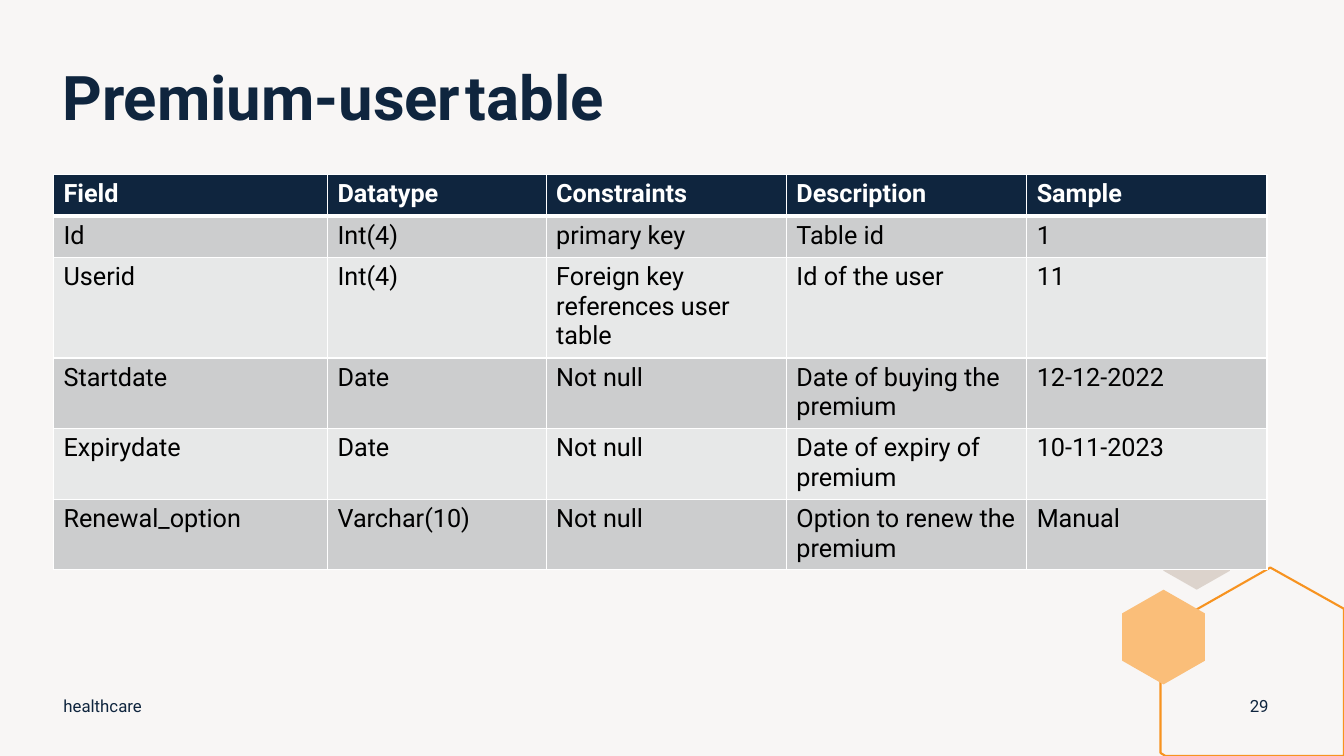
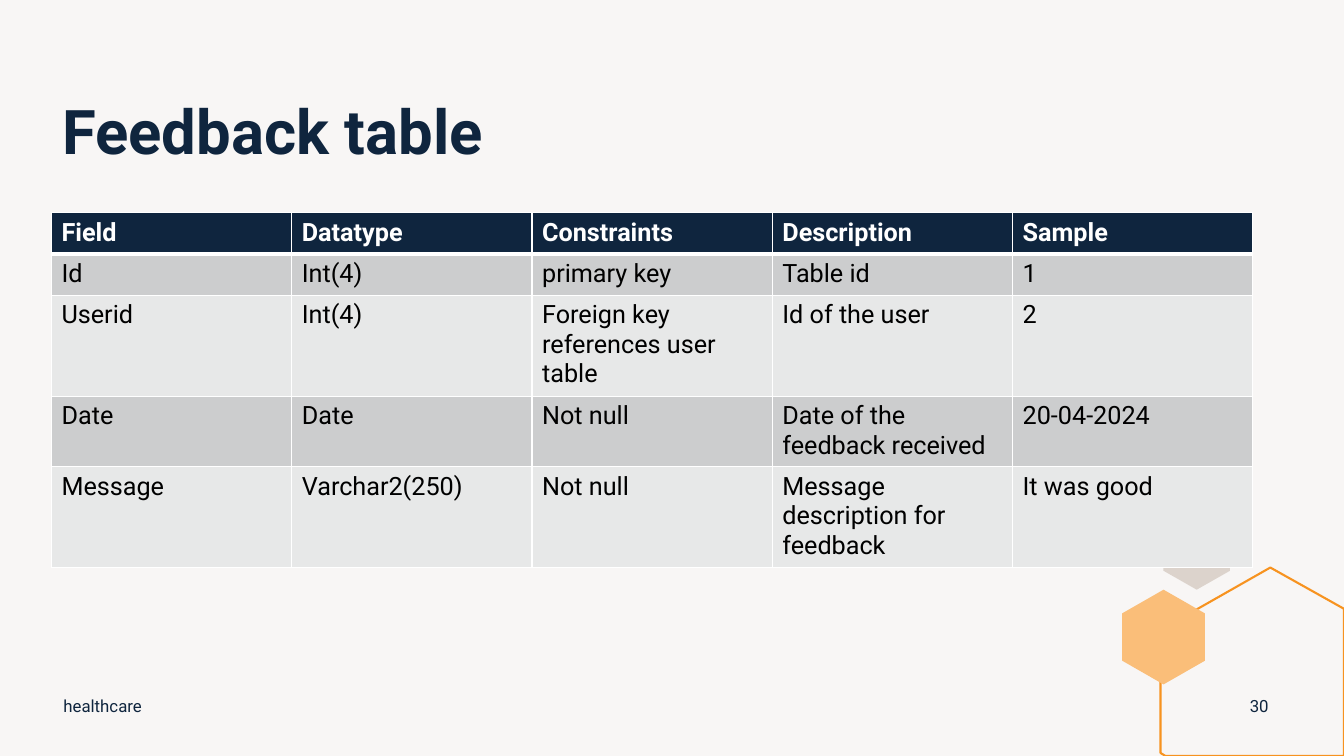
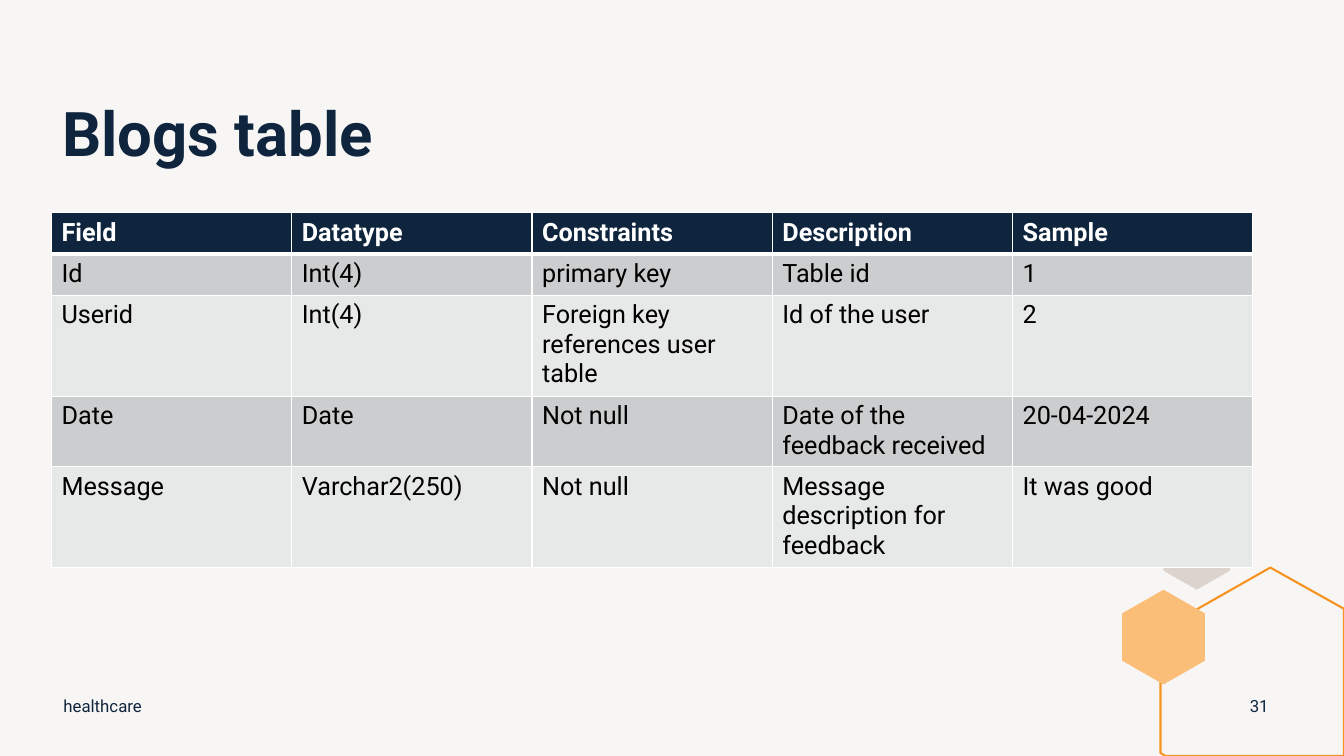
import dataclasses

import pptx
import pptx.dml.color
import pptx.enum.text
import pptx.oxml
import pptx.oxml.ns
import pptx.util

HEADINGS = ("Field", "Datatype", "Constraints", "Description", "Sample")
OPENING = [("Id", "Int(4)", "primary key", "Table id", "1")]
USER_LINK = ("Userid", "Int(4)", "Foreign key references user table", "Id of the user")

PREMIUM_FIELDS = OPENING + [
    USER_LINK + ("11",),
    ("Startdate", "Date", "Not null", "Date of buying the premium", "12-12-2022"),
    ("Expirydate", "Date", "Not null", "Date of expiry of premium", "10-11-2023"),
    ("Renewal_option", "Varchar(10)", "Not null", "Option to renew the premium", "Manual"),
]
MESSAGE_FIELDS = OPENING + [
    USER_LINK + ("2",),
    ("Date", "Date", "Not null", "Date of the feedback received", "20-04-2024"),
    ("Message", "Varchar2(250)", "Not null", "Message description for feedback", "It was good"),
]

EVEN = (1, 1, 1, 1, 1)
SECTIONS = [
    dict(title="Premium-user\ttable", title_top=8.27, corner=(3.98, 23.07),
         columns=(1.14, 0.91, 1, 1, 1), fields=PREMIUM_FIELDS),
    dict(title="Feedback table", title_top=12.8, corner=(3.83, 28.13),
         columns=EVEN, fields=MESSAGE_FIELDS),
    dict(title="Blogs table", title_top=13.07, corner=(3.83, 28.13),
         columns=EVEN, fields=MESSAGE_FIELDS),
]
FOOTER = "healthcare"
FIRST_NUMBER = 29


@dataclasses.dataclass(frozen=True)
class Theme:
    font: str = "Roboto"
    navy: str = "0F253E"
    paper: str = "F8F6F5"
    sand: str = "DCD3CC"
    orange: str = "F79320"
    apricot: str = "FABE79"
    white: str = "FFFFFF"
    black: str = "000000"
    bands: tuple = ("CCCDCE", "E7E8E8")
    title_size: int = 44
    table_size: int = 18
    footer_size: int = 12
    outline: float = 1.5
    rule: int = 1
    header_rule: int = 3


THEME = Theme()
COLUMN, ROW = 17.88, 5.47
HEXAGON = ((0.5, 0), (1, 0.25), (1, 0.75), (0.5, 1), (0, 0.75), (0, 0.25))
SAND_HEXAGON = (86.57, 68, 4.95, 10)
APRICOT_HEXAGON = (83.5, 78, 6.15, 12.53)
OPEN_HEXAGON = ((94.52, 75.07), (100, 80.53), (100, 100),
                (86.72, 100), (86.35, 99.6), (86.35, 83.33))

deck = pptx.Presentation()
deck.slide_width = pptx.util.Inches(13.33)
deck.slide_height = pptx.util.Inches(7.5)


def across(percent):
    return round(deck.slide_width * percent / 100)


def down(percent):
    return round(deck.slide_height * percent / 100)


def rgb(value):
    return pptx.dml.color.RGBColor.from_string(value)


def assign(target, values):
    for name, value in values.items():
        setattr(target, name, value)


def paint(fill, color):
    fill.solid()
    fill.fore_color.rgb = rgb(color)


def write(paragraph, text, size, color, bold=False):
    run = paragraph.add_run()
    run.text = text
    assign(run.font, dict(name=THEME.font, size=pptx.util.Pt(size), bold=bold))
    run.font.color.rgb = rgb(color)


def add_label(slide, text, box, size, frame=None, paragraph=None, bold=False):
    left, top, width, height = box
    label = slide.shapes.add_textbox(across(left), down(top), across(width), down(height))
    line = label.text_frame.paragraphs[0]
    assign(label.text_frame, dict(word_wrap=True, **(frame or {})))
    assign(line, paragraph or {})
    write(line, text, size, THEME.navy, bold)


def add_polygon(slide, points, fill=None, line=None):
    corners = [(across(x), down(y)) for x, y in points]
    builder = slide.shapes.build_freeform(*corners[0])
    builder.add_line_segments(corners[1:], close=True)
    polygon = builder.convert_to_shape()
    polygon.shadow.inherit = False
    if fill:
        paint(polygon.fill, fill)
    else:
        polygon.fill.background()
    if line:
        paint(polygon.line.fill, line)
        polygon.line.width = pptx.util.Pt(THEME.outline)
    else:
        polygon.line.fill.background()


def hexagon(left, top, width, height):
    return [(left + width * x, top + height * y) for x, y in HEXAGON]


def add_frame(slide, number):
    add_polygon(slide, hexagon(*SAND_HEXAGON), fill=THEME.sand)
    add_polygon(slide, OPEN_HEXAGON, line=THEME.orange)
    add_polygon(slide, hexagon(*APRICOT_HEXAGON), fill=THEME.apricot)
    middle = dict(vertical_anchor=pptx.enum.text.MSO_ANCHOR.MIDDLE)
    centred = dict(alignment=pptx.enum.text.PP_ALIGN.CENTER)
    add_label(slide, FOOTER, (3.98, 90.67, 33.76, 5.33), THEME.footer_size, middle)
    add_label(slide, str(number), (91.82, 90.67, 3.75, 5.33), THEME.footer_size,
              middle, centred)


def add_rules(cell, top, bottom):
    widths = dict(lnL=THEME.rule, lnR=THEME.rule, lnT=top, lnB=bottom)
    properties = cell._tc.get_or_add_tcPr()
    for place, (side, points) in enumerate(widths.items()):
        properties.insert(place, pptx.oxml.parse_xml(
            f'<a:{side} {pptx.oxml.ns.nsdecls("a")} w="{pptx.util.Pt(points)}">'
            f'<a:solidFill><a:srgbClr val="{THEME.white}"/></a:solidFill></a:{side}>'))


def add_fields(slide, corner, columns, fields):
    rows = [HEADINGS] + fields
    widths = [across(COLUMN * share) for share in columns]
    table = slide.shapes.add_table(len(rows), len(widths), across(corner[0]), down(corner[1]),
                                   sum(widths), down(ROW) * len(rows)).table
    for column, width in zip(table.columns, widths):
        column.width = width
    for r, entries in enumerate(rows):
        table.rows[r].height = down(ROW)
        header = r == 0
        top = THEME.header_rule if r == 1 else THEME.rule
        bottom = THEME.header_rule if header else THEME.rule
        for c, entry in enumerate(entries):
            cell = table.cell(r, c)
            paint(cell.fill, THEME.navy if header else THEME.bands[(r - 1) % 2])
            add_rules(cell, top, bottom)
            write(cell.text_frame.paragraphs[0], entry, THEME.table_size,
                  THEME.white if header else THEME.black, header)


paint(deck.slide_master.background.fill, THEME.paper)
for number, section in enumerate(SECTIONS, FIRST_NUMBER):
    slide = deck.slides.add_slide(deck.slide_layouts[6])
    add_frame(slide, number)
    add_label(slide, section["title"], (3.9, section["title_top"], 89.35, 20.67),
              THEME.title_size, paragraph=dict(line_spacing=0.9), bold=True)
    add_fields(slide, section["corner"], section["columns"], section["fields"])

deck.save("out.pptx")
